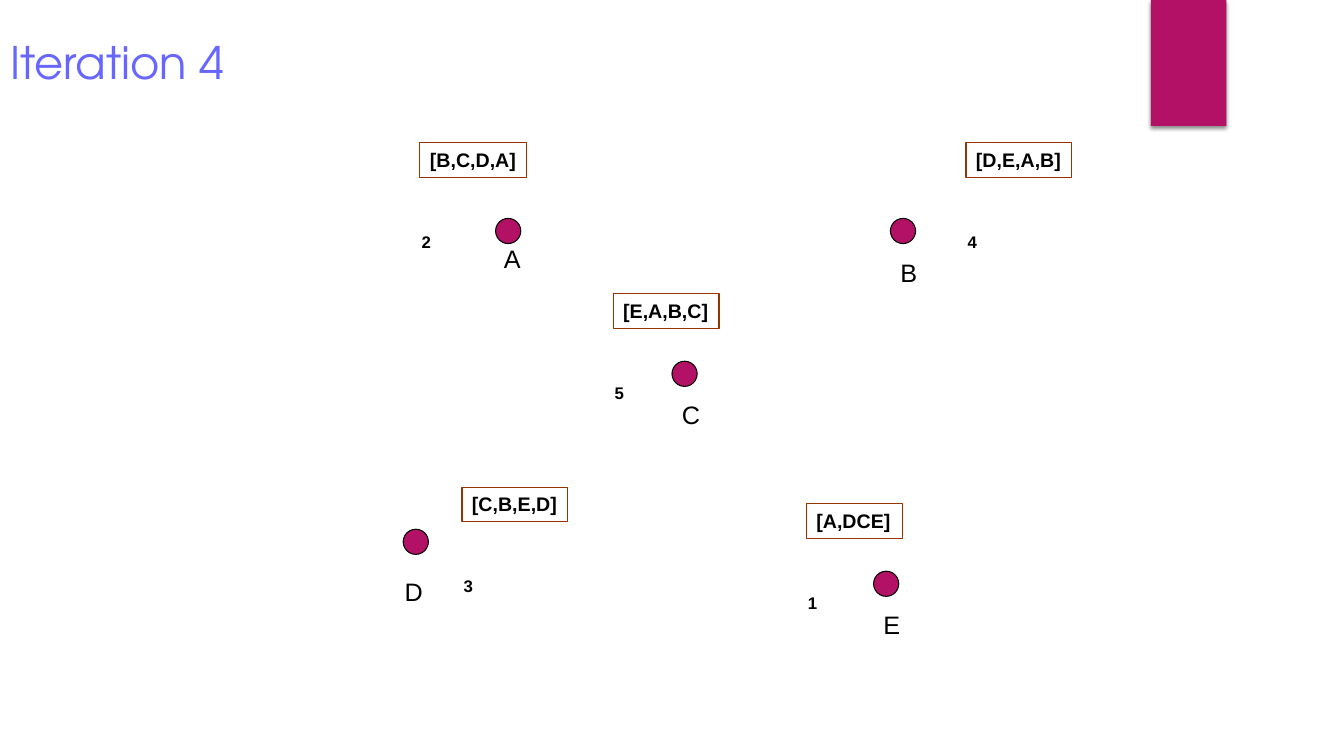
from pptx import Presentation
from pptx.dml.color import RGBColor
from pptx.enum.shapes import MSO_SHAPE
from pptx.enum.text import MSO_ANCHOR, MSO_AUTO_SIZE, PP_ALIGN
from pptx.oxml import parse_xml
from pptx.oxml.ns import nsdecls, qn
from pptx.util import Inches, Pt

CELL = Inches(1) / 12
COLUMNS, ROWS = 160, 90
BERRY, BROWN, BLACK, VIOLET = "B31166", "993300", "000000", "6767FF"

TITLE_FORMAT = {"name": "TeX Gyre Adventor", "size": Pt(32), "bold": False}
LABEL_FORMAT = {"name": "Arial", "size": Pt(18), "bold": False}
NUMBER_FORMAT = {"name": "Arial", "size": Pt(12), "bold": True}
TOUR_FORMAT = {"name": "Arial", "size": Pt(14), "bold": True}

# name, dot cell, label cell, label width
CITIES = [
    ("A", (59, 26), (58.8, 28.4), 4.4),
    ("B", (106, 26), (106, 30), 4.4),
    ("C", (80, 43), (80, 47), 4.6),
    ("D", (48, 63), (47, 68), 4.6),
    ("E", (104, 68), (104, 72), 4.4),
]
# tour, ant number, box cell, box width
ANTS = [
    ("[D,E,A,B]", "4", (115, 17), 12.6),
    ("[B,C,D,A]", "2", (50, 17), 12.7),
    ("[E,A,B,C]", "5", (73, 35), 12.6),
    ("[A,DCE]", "1", (96, 60), 11.4),
    ("[C,B,E,D]", "3", (55, 58), 12.6),
]


def color(hex_string):
    return RGBColor.from_string(hex_string)


def cells(*counts):
    """Turn counts of grid cells into lengths."""
    return [round(count * CELL) for count in counts]


def write(shape, text, text_format, hex_string=BLACK):
    frame = shape.text_frame
    frame.text = text
    paragraph = frame.paragraphs[0]
    paragraph.alignment = PP_ALIGN.LEFT
    for name, value in text_format.items():
        setattr(paragraph.font, name, value)
    paragraph.font.color.rgb = color(hex_string)


def fit_to_text(shape):
    settings = {"word_wrap": False, "auto_size": MSO_AUTO_SIZE.SHAPE_TO_FIT_TEXT,
                "vertical_anchor": MSO_ANCHOR.TOP}
    for name, value in settings.items():
        setattr(shape.text_frame, name, value)


def add_preset(shapes, kind, box, fill=None, line=None):
    shape = shapes.add_shape(kind, *cells(*box))
    shape.shadow.inherit = False
    if fill:
        shape.fill.solid()
        shape.fill.fore_color.rgb = color(fill)
    else:
        shape.fill.background()
    if line:
        shape.line.color.rgb = color(line)
        shape.line.width = Pt(0.75)
    else:
        shape.line.fill.background()
    return shape


def add_text(shapes, text, box, text_format):
    shape = shapes.add_textbox(*cells(*box))
    write(shape, text, text_format)
    fit_to_text(shape)


def add_banner(shapes):
    banner = add_preset(shapes, MSO_SHAPE.RECTANGLE, (137, 0, 9, 15), BERRY)
    effects = banner.element.spPr.find(qn("a:effectLst"))
    effects.append(parse_xml(
        f'<a:outerShdw {nsdecls("a")} blurRad="{Pt(3)}" dist="{Pt(2)}" dir="5400000" '
        f'rotWithShape="0"><a:srgbClr val="{BLACK}"><a:alpha val="45000"/></a:srgbClr>'
        '</a:outerShdw>'))


def add_title(slide):
    title = slide.shapes.title
    title.left, title.top, title.width, title.height = cells(0, 3.6, 108, 7.4)
    write(title, "Iteration 4", TITLE_FORMAT, VIOLET)
    title.text_frame.vertical_anchor = MSO_ANCHOR.MIDDLE
    title.text_frame.auto_size = MSO_AUTO_SIZE.NONE


def add_ant(shapes, tour, number, corner, width):
    """Group a tour box with the ant's number ten rows below its top."""
    left, top = corner
    group = shapes.add_group_shape()
    add_text(group.shapes, number, (left - 1, top + 10, 3.5, 3.6), NUMBER_FORMAT)
    box = add_preset(group.shapes, MSO_SHAPE.RECTANGLE, (left, top, width, 4.1), line=BROWN)
    write(box, tour, TOUR_FORMAT)
    fit_to_text(box)


def main():
    presentation = Presentation()
    presentation.slide_width, presentation.slide_height = cells(COLUMNS, ROWS)
    slide = presentation.slides.add_slide(presentation.slide_layouts[5])
    add_banner(slide.shapes)
    add_title(slide)
    for name, dot, label, width in CITIES:
        add_preset(slide.shapes, MSO_SHAPE.OVAL, (*dot, 3, 3), BERRY, BLACK)
        add_text(slide.shapes, name, (*label, width, 4.8), LABEL_FORMAT)
    for ant in ANTS:
        add_ant(slide.shapes, *ant)
    presentation.save("out.pptx")


if __name__ == "__main__":
    main()
